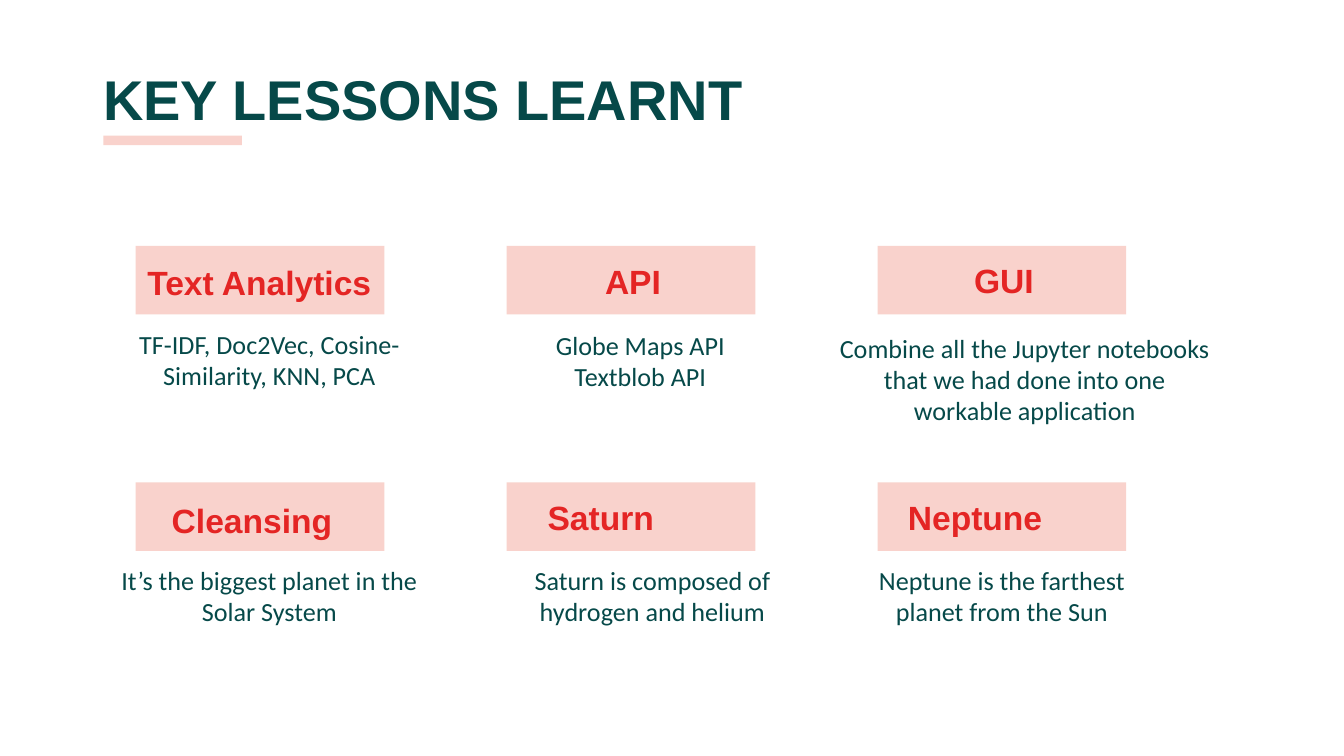
from pptx import Presentation
from pptx.dml.color import RGBColor
from pptx.enum.shapes import MSO_SHAPE
from pptx.enum.text import MSO_ANCHOR, PP_ALIGN
from pptx.oxml.ns import qn
from pptx.util import Inches, Pt
from lxml.etree import SubElement

TEAL = RGBColor(0x06, 0x49, 0x49)
RED = RGBColor(0xE4, 0x25, 0x24)
PINK = RGBColor(0xF4, 0xAA, 0x9E)


class Deck:
    """Holds the style and the current slide."""

    def __init__(self):
        self.prs = Presentation()
        # Wide format, 16 to 9
        self.prs.slide_width = Inches(10)
        self.prs.slide_height = Inches(10 * 9 / 16)
        self.slide = self.prs.slides.add_slide(self.prs.slide_layouts[6])

    def bar(self, x, y, w, h):
        shape = self.slide.shapes.add_shape(
            MSO_SHAPE.RECTANGLE, Inches(x), Inches(y), Inches(w), Inches(h))
        shape.shadow.inherit = False
        shape.line.fill.background()
        shape.fill.solid()
        shape.fill.fore_color.rgb = PINK
        # 52 % opacity
        tint = shape.fill._xPr.find(qn("a:solidFill"))[0]
        SubElement(tint, qn("a:alpha")).set("val", "52000")

    def text(self, box, lines, size, font, color, bold=False,
             align=PP_ALIGN.CENTER, anchor=MSO_ANCHOR.TOP):
        frame = self.slide.shapes.add_textbox(*map(Inches, box)).text_frame
        frame.word_wrap = True
        frame.vertical_anchor = anchor
        frame.margin_left = frame.margin_right = Inches(0.1)
        frame.margin_top = frame.margin_bottom = Inches(0.1)
        frame.text = lines
        for para in frame.paragraphs:
            para.alignment = align
            para.font.size = Pt(size)
            para.font.name = font
            para.font.bold = bold
            para.font.color.rgb = color

    def title(self, box, words):
        self.text(box, words, 30, "Arial", TEAL, True, PP_ALIGN.LEFT)

    def head(self, box, words):
        self.text(box, words, 18, "Arial", RED, True,
                  anchor=MSO_ANCHOR.MIDDLE)

    def body(self, box, words):
        self.text(box, words, 14, "Calibri", TEAL)


# Each lesson: heading, its left, top, width; body, its left, top, width
LESSONS = [
    ("Text Analytics", 0.93, 1.89, 2,
     "TF-IDF, Doc2Vec, Cosine-Similarity, KNN, PCA", 0.79, 2.34, 2.43),
    ("API", 3.22, 1.88, 2.98,
     "Globe Maps API\nTextblob API", 3.55, 2.35, 2.43),
    ("GUI", 5.72, 1.87, 3.5,
     "Combine all the Jupyter notebooks that we had done into one "
     "workable application", 6.1, 2.37, 3.05),
    ("Cleansing", 0.53, 3.66, 2.69,
     "It’s the biggest planet in the Solar System", 0.79, 4.1, 2.43),
    ("Saturn", 2.84, 3.64, 3.26,
     "Saturn is composed of hydrogen and helium", 3.64, 4.1, 2.43),
    ("Neptune", 5.7, 3.64, 3.11,
     "Neptune is the farthest planet from the Sun", 6.24, 4.1, 2.43),
]


def main():
    deck = Deck()

    # Title and its underline
    deck.title((0.67, 0.38, 7.05, 0.79), "KEY LESSONS LEARNT")
    deck.bar(0.77, 1.01, 1.03, 0.07)

    # Lessons, three to a row
    for i, (name, hx, hy, hw, note, bx, by, bw) in enumerate(LESSONS):
        row, col = divmod(i, 3)
        deck.bar(1.01 + 2.76 * col, 1.83 + 1.76 * row, 1.85, 0.51)
        deck.head((hx, hy, hw, 0.42), name)
        deck.body((bx, by, bw, 0.89 - 0.03 * row), note)

    deck.prs.save("out.pptx")


if __name__ == "__main__":
    main()
